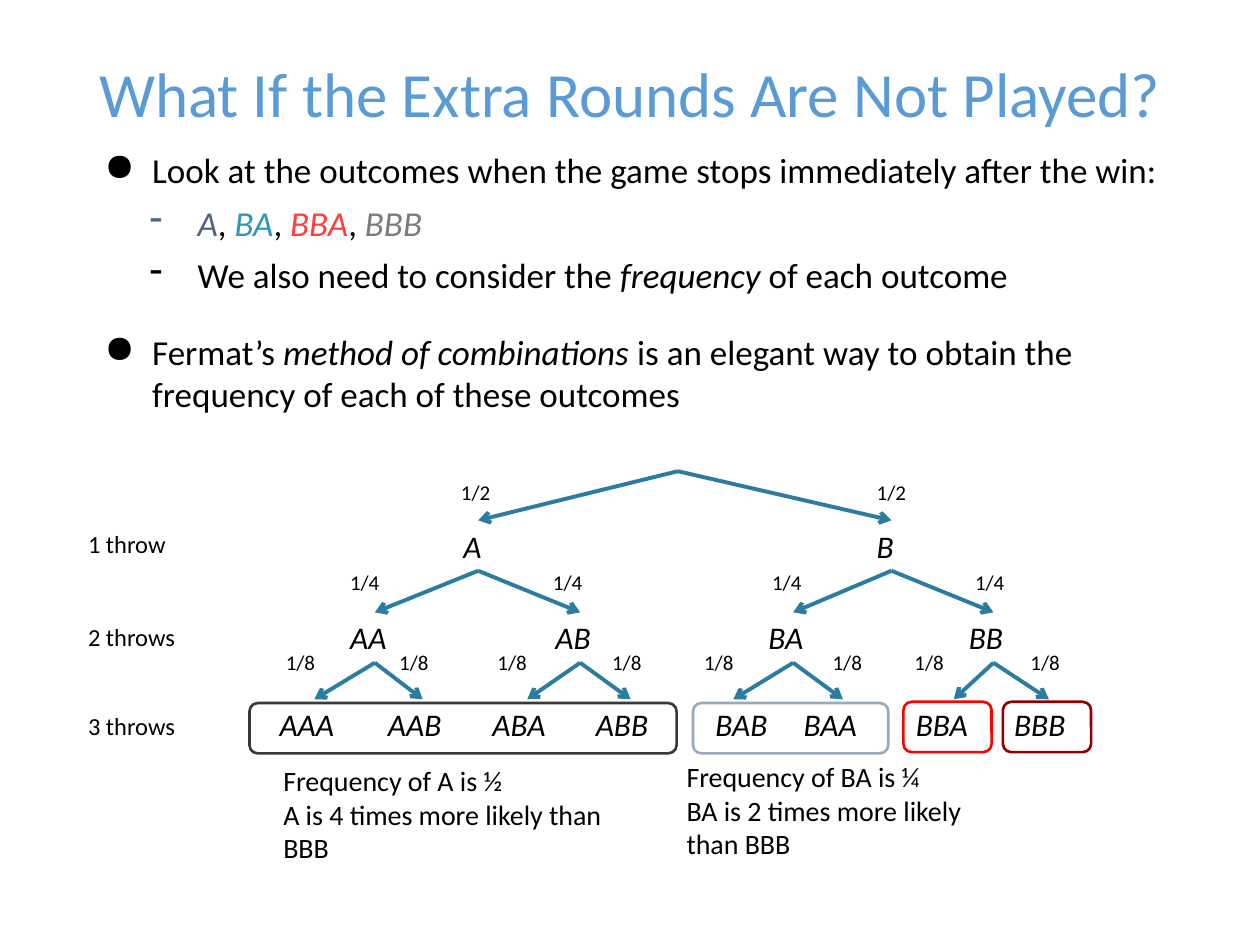
from pptx import Presentation
from pptx.dml.color import RGBColor
from pptx.enum.shapes import MSO_CONNECTOR, MSO_SHAPE
from pptx.enum.text import MSO_ANCHOR, MSO_AUTO_SIZE, PP_ALIGN
from pptx.oxml.ns import qn
from pptx.util import Inches, Pt
from lxml.etree import SubElement

THEME = {
    "font": "Calibri",
    "title": "5B9BD5", "text": "000000", "arrow": "2C7C9F",
    "A": "51647E", "BA": "2F97B5", "BBA": "FF4040", "BBB": "7C7C7C",
    "title_size": 36, "body_size": 20, "node_size": 18,
    "note_size": 16, "throw_size": 14, "fraction_size": 12,
    "arrow_width": 2.25, "frame_width": 1.5,
}

TITLE = "What If the Extra Rounds Are Not Played?"
BULLETS = [
    (0, [("Look at the outcomes when the game stops immediately after the win:",)]),
    (1, [("A", True, "A"), (", ",), ("BA", True, "BA"), (", ",),
         ("BBA", True, "BBA"), (", ",), ("BBB", True, "BBB")]),
    (1, [("We also need to consider the ",), ("frequency", True), (" of each outcome",)]),
    (0, [("Fermat’s ",), ("method of combinations ", True),
         ("is an elegant way to obtain the frequency of each of these outcomes",)]),
]
BULLET_LEVELS = [("●", 0.51, 20), ("-", 0.87, 6)]
BULLET_HANG = 0.38

THROWS = [("1 throw", 4.15, 0.92), ("2 throws", 4.89, 1.01), ("3 throws", 5.59, 1.01)]

ROOT = (5.38, 3.74)
LEVELS = [
    {"top": 4.13, "width": 0.43, "fraction_top": 3.76},
    {"top": 4.86, "width": 0.59, "fraction_top": 4.47},
    {"top": 5.55, "width": 0.75, "fraction_top": 5.11},
]
NODE_HEIGHT = 0.4
NODES = {
    "A": (3.58, 3.56), "B": (6.86, 6.86),
    "AA": (2.68, 2.68), "AB": (4.31, 4.29),
    "BA": (6.0, 6.03), "BB": (7.59, 7.64),
    "AAA": (2.12, 2.17), "AAB": (2.98, 3.07),
    "ABA": (3.81, 3.85), "ABB": (4.63, 4.76),
    "BAB": (5.58, 5.49), "BAA": (6.28, 6.51),
    "BBA": (7.17, 7.16), "BBB": (7.95, 8.08),
}
OFF_CENTRE_TIPS = {"BAB": 5.82, "BAA": 6.69, "BBA": 7.57}

FRAMES = [
    (1.98, 5.58, 3.39, "3B3838"),
    (5.5, 5.58, 1.55, "99A8BD"),
    (7.17, 5.57, 0.7, "FF0000"),
    (7.96, 5.57, 0.7, "900000"),
]
NOTES = [
    ((2.15, 6.01, 2.75, 0.91), ["Frequency of A is ½", "A is 4 times more likely than BBB"]),
    ((5.35, 5.98, 2.52, 0.91), ["Frequency of BA is ¼", "BA is 2 times more likely than BBB"]),
]


def set_all(target, values):
    for name, value in values.items():
        setattr(target, name, value)


def add_span(para, text, size, italic=False, color="text"):
    span = para.add_run()
    span.text = text
    set_all(span.font, {"name": THEME["font"], "size": Pt(size), "italic": italic})
    span.font.color.rgb = RGBColor.from_string(THEME[color])


def add_box(page, place, lines, size, italic=False, color="text", **frame):
    box = page.shapes.add_textbox(*map(Inches, place))
    set_all(box.text_frame, {"word_wrap": True, **frame})
    for index, line in enumerate(lines):
        para = box.text_frame.add_paragraph() if index else box.text_frame.paragraphs[0]
        add_span(para, line, size, italic, color)
    return box


def add_label(page, place, text, size, italic=False):
    return add_box(page, place, [text], size, italic, word_wrap=False,
                   auto_size=MSO_AUTO_SIZE.SHAPE_TO_FIT_TEXT)


def add_bullets(page):
    frame = add_box(page, (0.6, 1.13, 8.8, 4.75), [], THEME["body_size"]).text_frame
    for index, (level, spans) in enumerate(BULLETS):
        para = frame.add_paragraph() if index else frame.paragraphs[0]
        sign, indent, space = BULLET_LEVELS[level]
        properties = para._p.get_or_add_pPr()
        properties.set("marL", str(Inches(indent)))
        properties.set("indent", str(-Inches(BULLET_HANG)))
        SubElement(properties, qn("a:buSzPct")).set("val", "110000")
        SubElement(properties, qn("a:buChar")).set("char", sign)
        set_all(para, {"level": level, "space_before": Pt(space if index else 0)})
        for span in spans:
            add_span(para, span[0], THEME["body_size"], *span[1:])


def add_arrow(page, start, end):
    points = [Inches(value) for value in (*start, *end)]
    arrow = page.shapes.add_connector(MSO_CONNECTOR.STRAIGHT, *points)
    arrow.line.color.rgb = RGBColor.from_string(THEME["arrow"])
    arrow.line.width = Pt(THEME["arrow_width"])
    SubElement(arrow.line._get_or_add_ln(), qn("a:tailEnd")).set("type", "arrow")
    SubElement(arrow._element.spPr, qn("a:effectLst"))
    return arrow


def add_tree(page):
    labels, tips = {}, {}
    for name, (left, fraction_left) in NODES.items():
        depth, parent = len(name), name[:-1]
        level = LEVELS[depth - 1]
        top, width = level["top"], level["width"]
        labels[name] = add_label(page, (left, top, width, NODE_HEIGHT), name,
                                 THEME["node_size"], True)
        tips[name] = OFF_CENTRE_TIPS.get(name, left + width / 2)
        start = (tips[parent], LEVELS[depth - 2]["top"] + NODE_HEIGHT) if parent else ROOT
        arrow = add_arrow(page, start, (tips[name], top))
        if parent:
            arrow.begin_connect(labels[parent], 2)
        if name not in OFF_CENTRE_TIPS:
            arrow.end_connect(labels[name], 0)
        add_label(page, (fraction_left, level["fraction_top"], 0.5, 0.3),
                  f"1/{2 ** depth}", THEME["fraction_size"])


def add_frames(page):
    for left, top, width, color in FRAMES:
        frame = page.shapes.add_shape(MSO_SHAPE.ROUNDED_RECTANGLE,
                                      *map(Inches, (left, top, width, NODE_HEIGHT)))
        frame.shadow.inherit = False
        frame.fill.background()
        frame.line.color.rgb = RGBColor.from_string(color)
        frame.line.width = Pt(THEME["frame_width"])


def main():
    deck = Presentation()
    set_all(deck, {"slide_width": Inches(10), "slide_height": Inches(7.5)})
    page = deck.slides.add_slide(deck.slide_layouts[6])
    title = add_box(page, (0.6, 0.12, 8.8, 0.96), [TITLE], THEME["title_size"],
                    color="title", vertical_anchor=MSO_ANCHOR.BOTTOM)
    title.text_frame.paragraphs[0].alignment = PP_ALIGN.CENTER
    add_bullets(page)
    for text, top, width in THROWS:
        add_label(page, (0.6, top, width, 0.34), text, THEME["throw_size"])
    add_tree(page)
    add_frames(page)
    for place, lines in NOTES:
        add_box(page, place, lines, THEME["note_size"],
                auto_size=MSO_AUTO_SIZE.SHAPE_TO_FIT_TEXT)
    deck.save("out.pptx")


if __name__ == "__main__":
    main()
